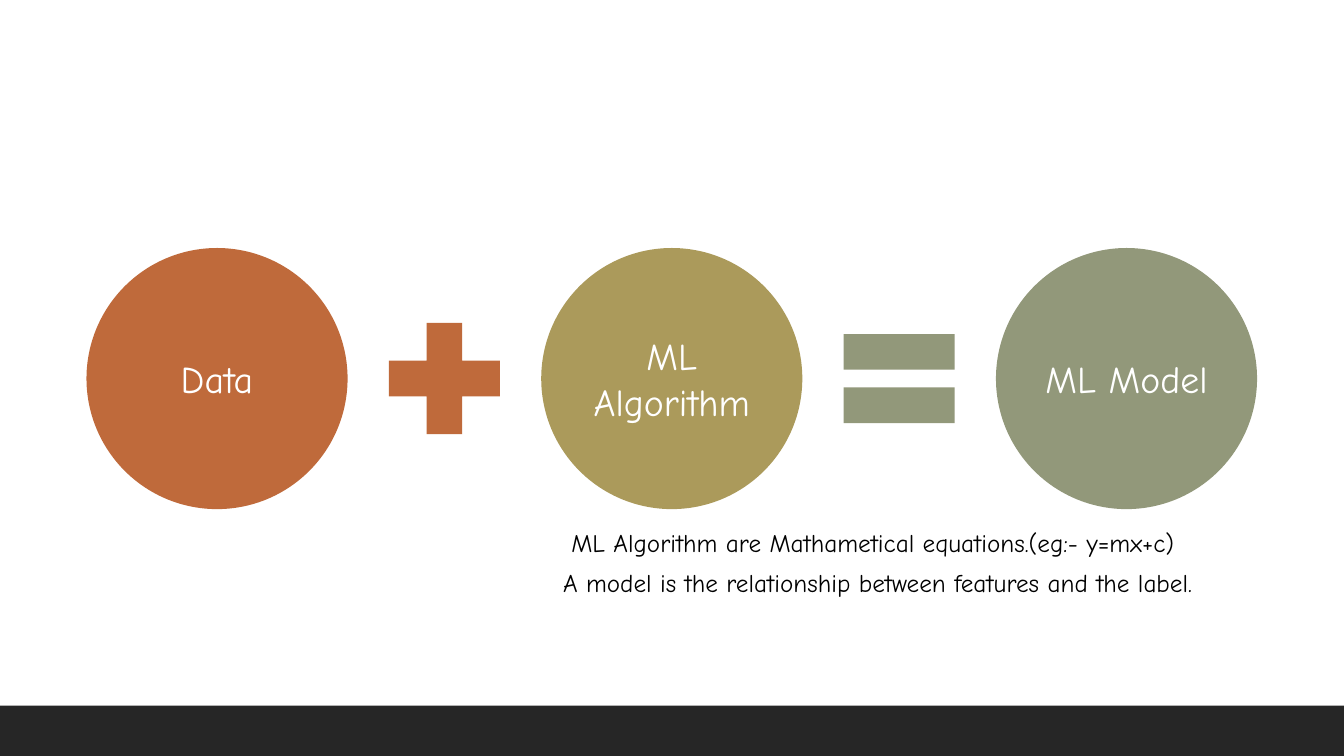
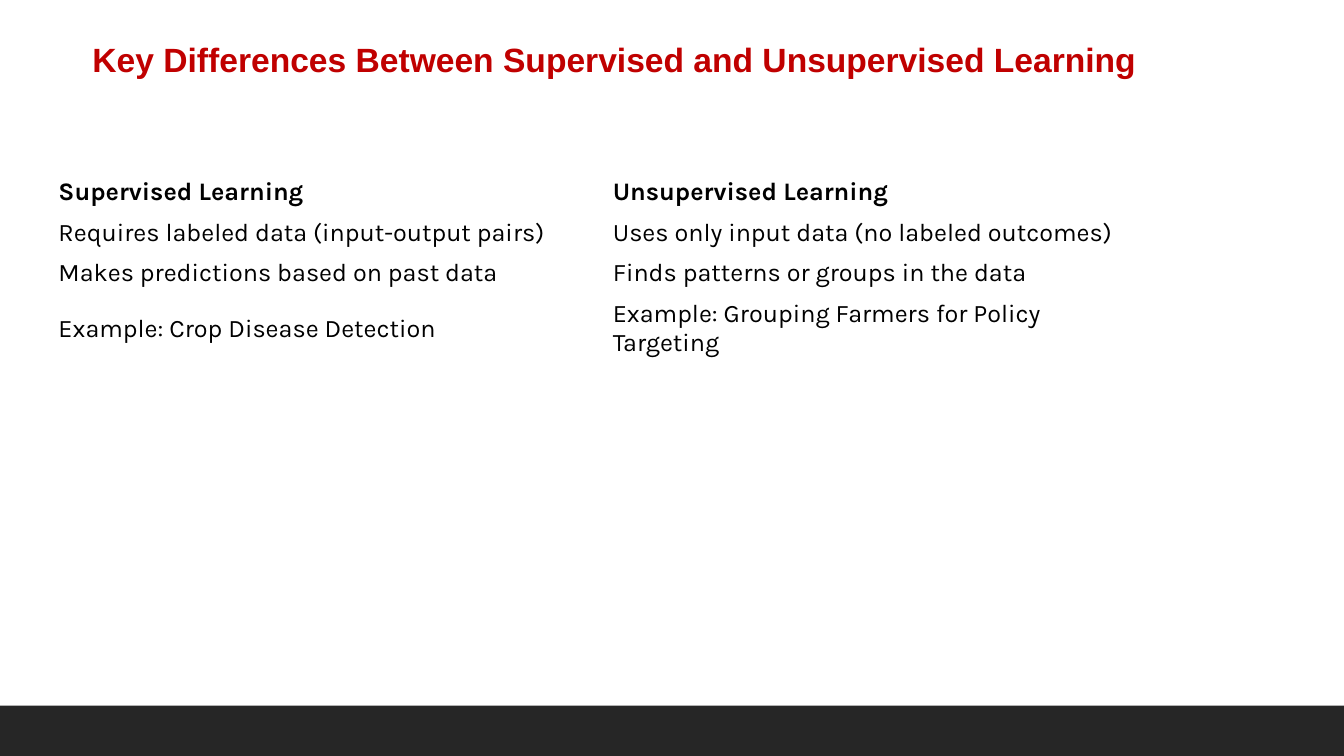
import dataclasses

import pptx
import pptx.dml.color
import pptx.enum.shapes
import pptx.enum.text
import pptx.util

Cm = pptx.util.Cm
Shape = pptx.enum.shapes.MSO_SHAPE
Align = pptx.enum.text.PP_ALIGN
Anchor = pptx.enum.text.MSO_ANCHOR


@dataclasses.dataclass(frozen=True)
class Theme:
    black: str = "000000"
    white: str = "FFFFFF"
    band: str = "262626"
    red: str = "C00000"
    rust: str = "BF6A3B"
    olive: str = "AB9A5B"
    sage: str = "92987A"
    head: str = "Arial"
    hand: str = "Comic Neue"
    body: str = "Karla"
    title: int = 24
    label: int = 27
    text: int = 18


THEME = Theme()
WIDE, HIGH = 33.87, 19.05
BAND = 1.27


def tint(code):
    return pptx.dml.color.RGBColor.from_string(code)


def write(frame, text, font=THEME.body, size=THEME.text, color=THEME.black,
          bold=False, align=Align.LEFT):
    frame.word_wrap = True
    para = frame.paragraphs[0]
    para.alignment = align
    run = para.add_run()
    run.text = text
    run.font.name = font
    run.font.size = pptx.util.Pt(size)
    run.font.bold = bold
    run.font.color.rgb = tint(color)


def draw(slide, kind, left, top, width, height, color):
    """Add a flat preset shape without outline or shadow."""
    shape = slide.shapes.add_shape(kind, Cm(left), Cm(top), Cm(width), Cm(height))
    shape.shadow.inherit = False
    shape.fill.solid()
    shape.fill.fore_color.rgb = tint(color)
    shape.line.fill.background()
    return shape


def note(slide, text, left, top, width, height, **style):
    box = slide.shapes.add_textbox(Cm(left), Cm(top), Cm(width), Cm(height))
    write(box.text_frame, text, **style)


def disc(slide, text, left, top, size, color):
    frame = draw(slide, Shape.OVAL, left, top, size, size, color).text_frame
    frame.vertical_anchor = Anchor.MIDDLE
    frame.margin_left = frame.margin_right = Cm(0.1)
    frame.margin_top = frame.margin_bottom = Cm(0.1)
    write(frame, text, font=THEME.hand, size=THEME.label, color=THEME.white,
          align=Align.CENTER)


def grid(slide, rows, left, top, width, heights):
    """Add a plain table whose first row is bold."""
    count = len(rows[0])
    table = slide.shapes.add_table(len(rows), count, Cm(left), Cm(top),
                                   Cm(width), Cm(sum(heights))).table
    table.first_row = table.horz_banding = False
    for col in table.columns:
        col.width = Cm(width / count)
    for i, (texts, height) in enumerate(zip(rows, heights)):
        table.rows[i].height = Cm(height)
        for j, text in enumerate(texts):
            cell = table.cell(i, j)
            cell.fill.background()
            cell.vertical_anchor = Anchor.MIDDLE
            write(cell.text_frame, text, bold=i == 0)


def start(deck):
    """Add a blank slide with the dark band along its foot."""
    slide = deck.slides.add_slide(deck.slide_layouts[6])
    draw(slide, Shape.RECTANGLE, 0, HIGH - BAND, WIDE, BAND, THEME.band)
    return slide


def model(deck):
    slide = start(deck)
    left, top, size, step, sign = 2.18, 6.25, 6.58, 11.46, 3.81
    discs = (("Data", THEME.rust), ("ML Algorithm", THEME.olive),
             ("ML Model", THEME.sage))
    for i, (text, color) in enumerate(discs):
        disc(slide, text, left + i * step, top, size, color)
    signs = ((Shape.MATH_PLUS, THEME.rust), (Shape.MATH_EQUAL, THEME.sage))
    for i, (kind, color) in enumerate(signs):
        mid = left + i * step + (size + step) / 2
        draw(slide, kind, mid - sign / 2, top + (size - sign) / 2,
             sign, sign, color)
    note(slide, "ML Algorithm are Mathametical equations.(eg:- y=mx+c)",
         14.15, 13.16, 17.9, 1.02, font=THEME.hand)
    note(slide, "A model is the relationship between features and the label.",
         13.94, 14.17, 18.08, 1.02, font=THEME.hand)


def compare(deck):
    slide = start(deck)
    note(slide, "Key Differences Between Supervised and Unsupervised Learning",
         2.08, 0.86, 29.77, 1.27, font=THEME.head, size=THEME.title,
         color=THEME.red, bold=True)
    rows = (
        ("Supervised Learning", "Unsupervised Learning"),
        ("Requires labeled data (input-output pairs)",
         "Uses only input data (no labeled outcomes)"),
        ("Makes predictions based on past data",
         "Finds patterns or groups in the data"),
        ("Example: Crop Disease Detection",
         "Example: Grouping Farmers for Policy Targeting"),
    )
    grid(slide, rows, 1.22, 4.34, 27.94, (1.01, 1.01, 1.01, 1.78))


def main():
    deck = pptx.Presentation()
    deck.slide_width, deck.slide_height = Cm(WIDE), Cm(HIGH)
    model(deck)
    compare(deck)
    deck.save("out.pptx")


if __name__ == "__main__":
    main()
